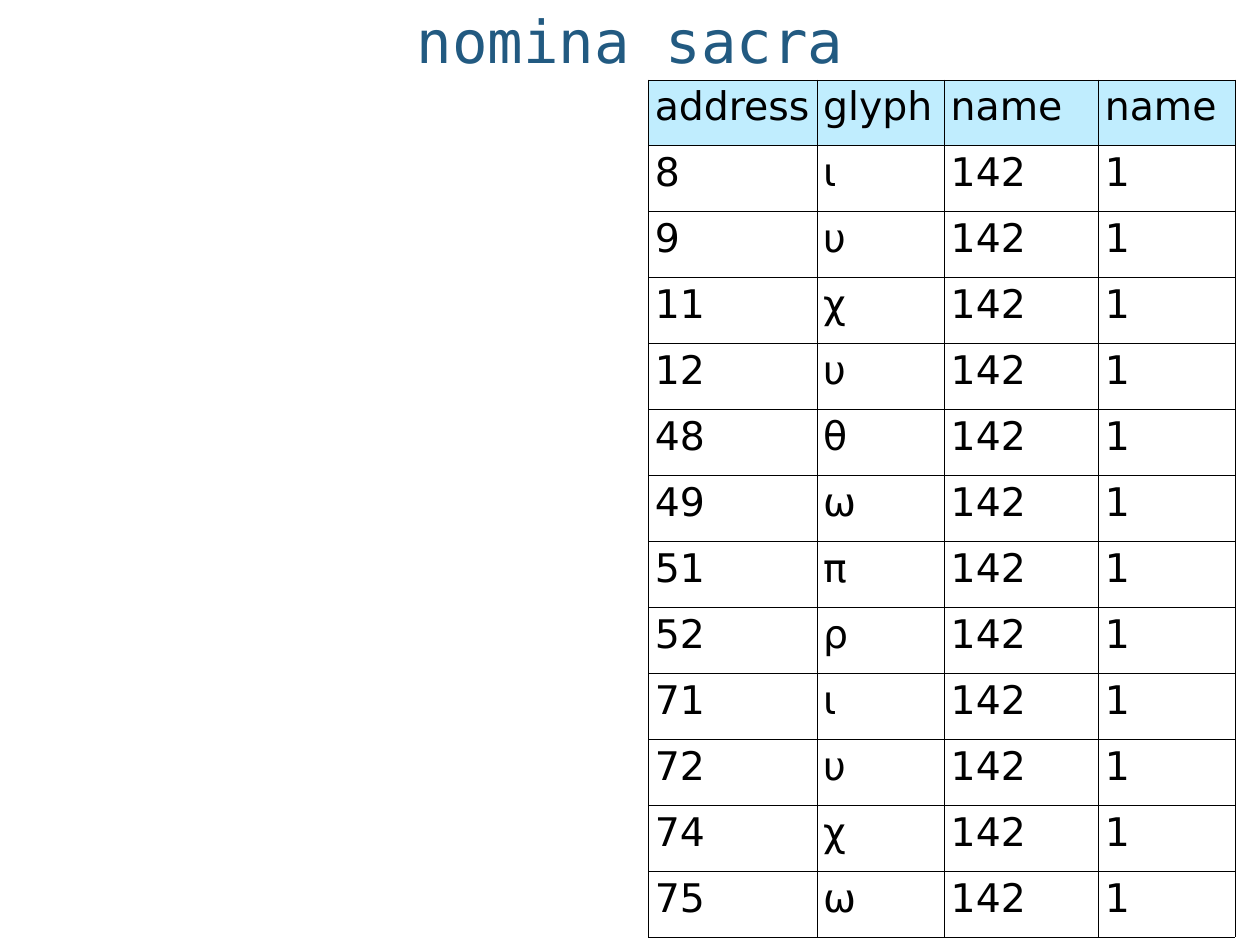
import pptx
import pptx.util
import pptx.dml.color
import pptx.enum.text
import pptx.oxml
import pptx.oxml.ns

COLORS = {"title": "225A81", "header": "C0EDFE", "body": "FFFFFF", "ink": "000000"}
HEADINGS = ["address", "glyph", "name", "name"]
GLYPHS = [
    ("8", "ι"), ("9", "υ"), ("11", "χ"), ("12", "υ"),
    ("48", "θ"), ("49", "ω"), ("51", "π"), ("52", "ρ"),
    ("71", "ι"), ("72", "υ"), ("74", "χ"), ("75", "ω"),
]
COLUMN_WIDTHS = [1.9, 1.44, 1.74, 1.54]
TABLE_LEFT, TABLE_TOP, TABLE_HEIGHT = 7.32, 0.9, 9.67


def add_run(paragraph, text, font_name, size, color):
    run = paragraph.add_run()
    run.text = text
    run.font.name = font_name
    run.font.size = pptx.util.Pt(size)
    run.font.color.rgb = pptx.dml.color.RGBColor.from_string(COLORS[color])


def add_borders(cell):
    properties = cell._tc.get_or_add_tcPr()
    for position, side in enumerate(["lnL", "lnR", "lnT", "lnB"]):
        border = pptx.oxml.parse_xml(
            f'<a:{side} {pptx.oxml.ns.nsdecls("a")} w="{pptx.util.Pt(0.45)}">'
            f'<a:solidFill><a:srgbClr val="{COLORS["ink"]}"/></a:solidFill></a:{side}>'
        )
        properties.insert(position, border)


deck = pptx.Presentation()
deck.slide_width = pptx.util.Inches(14.22)
deck.slide_height = pptx.util.Inches(10.66)
slide = deck.slides.add_slide(deck.slide_layouts[5])

title = slide.shapes.title
title.left, title.top = pptx.util.Inches(1.39), 0
title.width, title.height = pptx.util.Inches(11.44), pptx.util.Inches(TABLE_TOP)
heading = title.text_frame
heading.margin_left = heading.margin_right = pptx.util.Inches(0.06)
heading.margin_top = heading.margin_bottom = pptx.util.Inches(0.06)
heading.vertical_anchor = pptx.enum.text.MSO_ANCHOR.MIDDLE
heading.auto_size = pptx.enum.text.MSO_AUTO_SIZE.NONE
heading.paragraphs[0].alignment = pptx.enum.text.PP_ALIGN.CENTER
add_run(heading.paragraphs[0], "nomina sacra", "DejaVu Sans Mono", 48, "title")

records = [HEADINGS] + [[address, glyph, "142", "1"] for address, glyph in GLYPHS]
glyph_table = slide.shapes.add_table(
    len(records), len(HEADINGS),
    pptx.util.Inches(TABLE_LEFT), pptx.util.Inches(TABLE_TOP),
    pptx.util.Inches(sum(COLUMN_WIDTHS)), pptx.util.Inches(TABLE_HEIGHT),
).table
glyph_table.horz_banding = False

for column, width in zip(glyph_table.columns, COLUMN_WIDTHS):
    column.width = pptx.util.Inches(width)

for row_index, record in enumerate(records):
    for column_index, entry in enumerate(record):
        cell = glyph_table.cell(row_index, column_index)
        cell.margin_left = cell.margin_right = pptx.util.Inches(0.07)
        cell.margin_top = cell.margin_bottom = pptx.util.Inches(0.05)
        cell.fill.solid()
        shade = COLORS["body" if row_index else "header"]
        cell.fill.fore_color.rgb = pptx.dml.color.RGBColor.from_string(shade)
        add_borders(cell)
        paragraph = cell.text_frame.paragraphs[0]
        paragraph.alignment = pptx.enum.text.PP_ALIGN.JUSTIFY
        add_run(paragraph, entry, "DejaVu Sans", 32, "ink")
        paragraph.runs[0].font.bold = False

deck.save("out.pptx")
